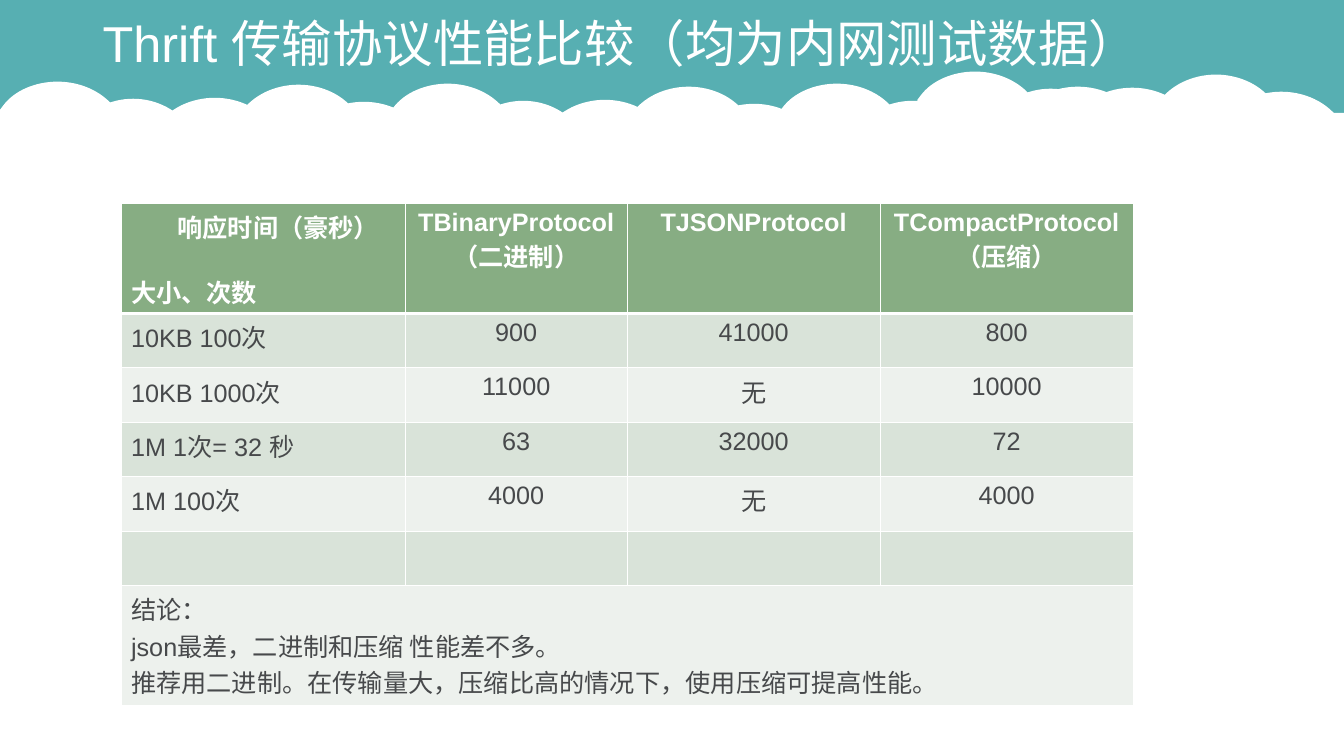
from lxml import etree
from pptx import Presentation
from pptx.dml.color import RGBColor
from pptx.enum.shapes import MSO_SHAPE
from pptx.enum.text import MSO_ANCHOR, PP_ALIGN
from pptx.oxml.ns import qn
from pptx.util import Inches, Pt

RECT, OVAL = MSO_SHAPE.RECTANGLE, MSO_SHAPE.OVAL
LEFT, CENTER = PP_ALIGN.LEFT, PP_ALIGN.CENTER
MIDDLE = MSO_ANCHOR.MIDDLE

WHITE = RGBColor(0xFF, 0xFF, 0xFF)
TEAL = RGBColor(0x2D, 0x9C, 0x9F)
GREEN = RGBColor(0x87, 0xAD, 0x83)
SAGE = RGBColor(0xD9, 0xE3, 0xD9)
PALE = RGBColor(0xED, 0xF1, 0xED)
INK = RGBColor(0x47, 0x49, 0x4B)

WIDE, HIGH = 13.33, 7.5

FIRST = ("CCCLLLC", [
    (0.57, 0), (0.94, 0), (1.24, 0.25), (1.24, 0.55),
    (1.24, 0.86), (0.94, 1.11), (0.57, 1.11),
    (0.35, 1.11), (0.14, 1.01), (0.03, 0.86),
    (0, 0.82), (0, 0.28), (0.03, 0.24),
    (0.14, 0.09), (0.35, 0), (0.57, 0)])
FINAL = ("CLLLCCC", [
    (0.66, 0), (0.93, 0), (1.17, 0.14), (1.27, 0.34),
    (1.28, 0.37), (1.28, 0.74), (1.27, 0.77),
    (1.17, 0.97), (0.93, 1.11), (0.66, 1.11),
    (0.29, 1.11), (0, 0.86), (0, 0.56),
    (0, 0.25), (0.29, 0), (0.66, 0)])


def write(frame, text, size=18, color=INK, bold=False, align=LEFT,
          line=None, indent=0, gap=0):
    for i, part in enumerate(text.split("\n")):
        para = frame.paragraphs[0] if i == 0 else frame.add_paragraph()
        para.alignment = align
        if line:
            para.line_spacing = line
        if indent and i == 0:
            para._p.get_or_add_pPr().set("marL", str(Inches(indent)))
        if gap and i > 0:
            para.space_before = Pt(gap)
        run = para.add_run()
        run.text = part
        run.font.name = "Arial"
        run.font.size = Pt(size)
        run.font.bold = bold
        run.font.color.rgb = color


class Deck:
    def __init__(self):
        self.show = Presentation()
        self.show.slide_width = Inches(WIDE)
        self.show.slide_height = Inches(HIGH)
        self.slide = self.show.slides.add_slide(self.show.slide_layouts[6])
        self.shapes = self.slide.shapes

    def paint(self, shape, color, alpha=100):
        shape.shadow.inherit = False
        shape.fill.solid()
        shape.fill.fore_color.rgb = color
        shape.line.fill.background()
        if alpha < 100:
            tone = shape._element.spPr.find(qn("a:solidFill"))[0]
            etree.SubElement(tone, qn("a:alpha")).set("val", str(alpha * 1000))

    def shape(self, kind, box, color, alpha=100):
        item = self.shapes.add_shape(kind, *map(Inches, box))
        self.paint(item, color, alpha)

    def curve(self, x, y, form, color):
        kinds, spots = form
        dots = [(Inches(x + dx), Inches(y + dy)) for dx, dy in spots]
        pen = self.shapes.build_freeform(*dots[0])
        pen.add_line_segments(dots[1:], close=True)
        item = pen.convert_to_shape()
        lines = iter(list(item._element.spPr.iter(qn("a:lnTo"))))
        for kind in kinds:
            line = next(lines)
            if kind == "C":
                line.tag_name = None
                bend = etree.Element(qn("a:cubicBezTo"))
                line.addprevious(bend)
                for step in (line, next(lines), next(lines)):
                    bend.append(step[0])
                    step.getparent().remove(step)
        self.paint(item, color)

    def cloud(self, x, y):
        self.curve(x, y, FIRST, WHITE)
        for dx, dy, h in ((0.66, 0.17, 1.21), (1.47, 0.16, 1.11),
                          (2.3, 0.03, 1.11)):
            self.shape(OVAL, (x + dx, y + dy, 1.32, h), WHITE)
        self.curve(x + 2.95, y + 0.2, FINAL, WHITE)

    def text(self, box, text, **style):
        frame = self.shapes.add_textbox(*map(Inches, box)).text_frame
        frame.word_wrap = True
        frame.vertical_anchor = MIDDLE
        write(frame, text, **style)

    def edges(self, cell, base):
        props = cell._tc.get_or_add_tcPr()
        for side, width in (("L", 1), ("R", 1), ("T", 1), ("B", base)):
            line = etree.SubElement(props, qn("a:ln" + side))
            line.set("w", str(Pt(width)))
            fill = etree.SubElement(line, qn("a:solidFill"))
            etree.SubElement(fill, qn("a:srgbClr")).set("val", str(WHITE))

    def table(self, box, cols, rows, data):
        grid = self.shapes.add_table(len(rows), len(cols),
                                     *map(Inches, box)).table
        for col, width in zip(grid.columns, cols):
            col.width = Inches(width)
        for row, height in zip(grid.rows, rows):
            row.height = Inches(height)
        for r, line in enumerate(data):
            head = r == 0
            for c, words in enumerate(line):
                cell = grid.cell(r, c)
                self.edges(cell, 3 if head else 1)
                cell.fill.solid()
                cell.fill.fore_color.rgb = (
                    GREEN if head else SAGE if r % 2 else PALE)
                if words:
                    corner = head and c == 0
                    write(cell.text_frame, words, bold=head,
                          color=WHITE if head else INK,
                          align=CENTER if c else LEFT,
                          indent=0.46 if corner else 0,
                          gap=20 if corner else 0)
        last = len(rows) - 1
        grid.cell(last, 0).merge(grid.cell(last, len(cols) - 1))


DATA = [
    ["响应时间（豪秒）\n大小、次数", "TBinaryProtocol\n（二进制）",
     "TJSONProtocol", "TCompactProtocol\n（压缩）"],
    ["10KB 100次", "900", "41000", "800"],
    ["10KB 1000次", "11000", "无", "10000"],
    ["1M 1次= 32 秒", "63", "32000", "72"],
    ["1M 100次", "4000", "无", "4000"],
    [""] * 4,
    ["结论：\njson最差，二进制和压缩 性能差不多。\n"
     "推荐用二进制。在传输量大，压缩比高的情况下，使用压缩可提高性能。",
     "", "", ""],
]

deck = Deck()
deck.shape(RECT, (0, 0, WIDE, 3.68), TEAL, alpha=80)
for left, top in ((0, 0.81), (3.87, 0.83), (7.73, 0.83), (9.1, 0.71)):
    deck.cloud(left, top)
deck.shape(RECT, (0, 1.12, WIDE, 4.5), WHITE)
deck.text((0.92, 0.06, 11.5, 0.79), "Thrift 传输协议性能比较（均为内网测试数据）",
          size=36, color=WHITE, line=0.9)
rows = [1.09] + [0.54] * 5 + [1.19]
deck.table((1.2, 2.02, 10.04, sum(rows)), (2.82, 2.2, 2.51, 2.51),
           rows, DATA)
deck.show.save("out.pptx")
